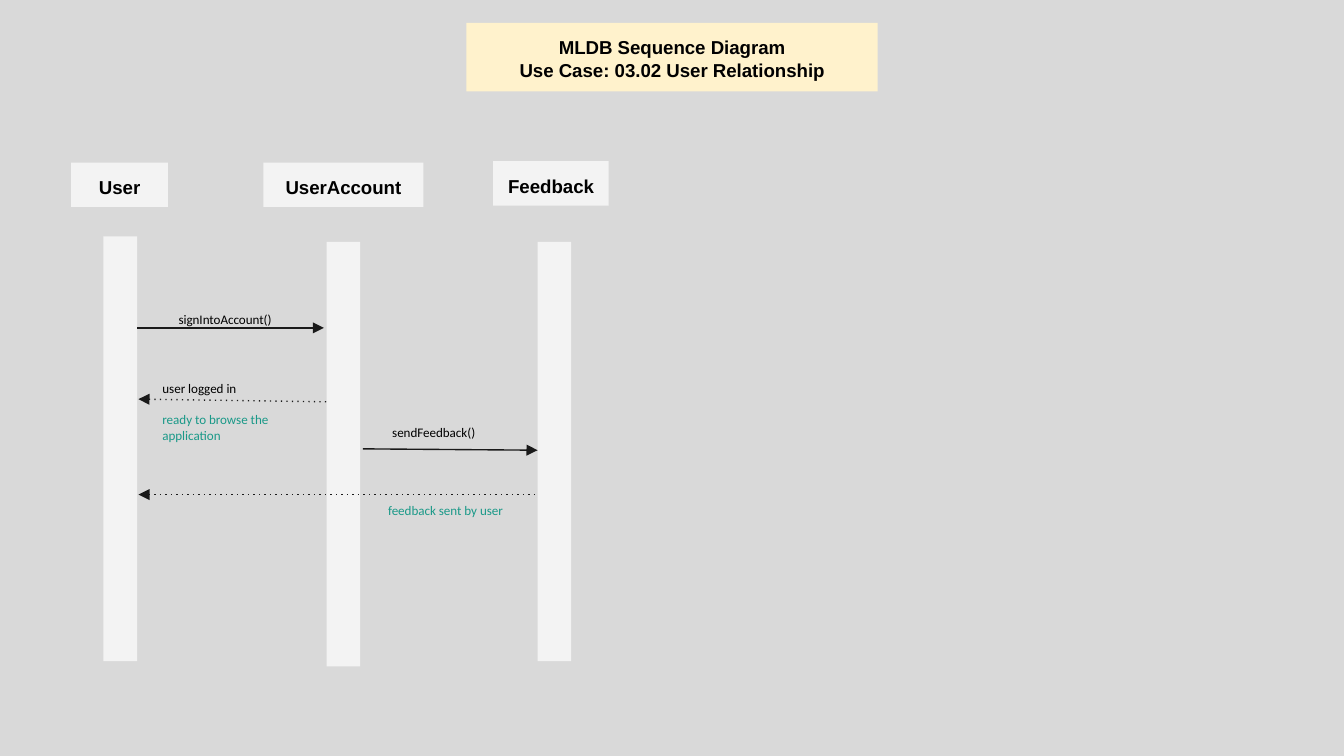
from lxml import etree
from pptx import Presentation
from pptx.dml.color import RGBColor
from pptx.enum.shapes import MSO_CONNECTOR, MSO_SHAPE
from pptx.enum.text import MSO_ANCHOR, MSO_AUTO_SIZE, PP_ALIGN
from pptx.oxml.ns import qn
from pptx.util import Inches, Pt

RECT, STRAIGHT = MSO_SHAPE.RECTANGLE, MSO_CONNECTOR.STRAIGHT
CENTER, LEFT = PP_ALIGN.CENTER, PP_ALIGN.LEFT
TOP, NO_AUTOFIT = MSO_ANCHOR.TOP, MSO_AUTO_SIZE.NONE
BLACK, TEAL, PANEL = "000000", "1A9988", "F3F3F3"


def paint(fill, color):
    fill.solid()
    fill.fore_color.rgb = RGBColor.from_string(color)


def write(sp, lines, colors, font, size, bold, align):
    tf = sp.text_frame
    tf.word_wrap, tf.auto_size, tf.vertical_anchor = True, NO_AUTOFIT, TOP
    tf.margin_left = tf.margin_right = tf.margin_top = tf.margin_bottom = Inches(0.1)
    tf.text = "\n".join(lines)
    for p, color in zip(tf.paragraphs, colors):
        p.alignment = align
        p.space_before = Pt(0)
        for r in p.runs:
            r.font.name, r.font.size, r.font.bold = font, Pt(size), bold
            paint(r.font.fill, color)


# A 16:9 slide
prs = Presentation()
prs.slide_width = Inches(10)
prs.slide_height = prs.slide_width * 9 // 16
s = prs.slides.add_slide(prs.slide_layouts[5])
paint(s.background.fill, "D9D9D9")

# Title, centred on the slide
title = s.shapes.title
title.width, title.height = Inches(3.06), Inches(0.51)
title.left, title.top = (prs.slide_width - title.width) // 2, Inches(0.17)
paint(title.fill, "FFF2CC")
write(title, ["MLDB Sequence Diagram", "Use Case: 03.02 User Relationship"],
      [BLACK] * 2, "Arial", 10, True, CENTER)

# Participants: name, header left, top and width, lifeline left, top and height
participants = [
    ("User", 0.53, 1.21, 0.72, 0.77, 1.76, 3.16),
    ("UserAccount", 1.96, 1.21, 1.19, 2.43, 1.8, 3.16),
    ("Feedback", 3.67, 1.2, 0.86, 4, 1.8, 3.12),
]
for name, x, y, w, bar_x, bar_y, bar_h in participants:
    for text, box in ((name, (x, y, w, 0.33)), ("", (bar_x, bar_y, 0.25, bar_h))):
        sp = s.shapes.add_shape(RECT, *map(Inches, box))
        sp.shadow.inherit = False
        sp.line.fill.background()
        paint(sp.fill, PANEL)
        if text:
            write(sp, [text], [BLACK], "Arial", 10, True, CENTER)

# Messages: calls are solid and point right, replies are dotted and point left
messages = [
    (1.02, 2.44, 2.41, 2.44, False),
    (1.03, 2.97, 2.43, 2.99, True),
    (2.7, 3.34, 4, 3.35, False),
    (1.03, 3.68, 3.98, 3.68, True),
]
for x1, y1, x2, y2, reply in messages:
    c = s.shapes.add_connector(STRAIGHT, *map(Inches, (x1, y1, x2, y2)))
    c.line.width = Pt(0.75)
    paint(c.line.fill, "1A1A1A")
    ln = c.line._get_or_add_ln()
    if reply:
        etree.SubElement(ln, qn("a:prstDash"), val="dot")
    etree.SubElement(ln, qn("a:headEnd" if reply else "a:tailEnd"), type="triangle")
    etree.SubElement(c._element.spPr, qn("a:effectLst"))

# Message labels
labels = [
    (1.23, 2.22, 1.05, 0.19, ["signIntoAccount()"], [BLACK]),
    (1.11, 2.73, 1.18, 0.62,
     ["user logged in", "ready to browse the application"], [BLACK, TEAL]),
    (2.82, 3.06, 0.84, 0.2, ["sendFeedback()"], [BLACK]),
    (2.79, 3.64, 1.1, 0.32, ["feedback sent by user"], [TEAL]),
]
for x, y, w, h, lines, colors in labels:
    tb = s.shapes.add_textbox(*map(Inches, (x, y, w, h)))
    write(tb, lines, colors, "Calibri", 7, False, LEFT)
    for p in tb.text_frame.paragraphs[1:]:
        p.space_before = Pt(8.5)

prs.save("out.pptx")
